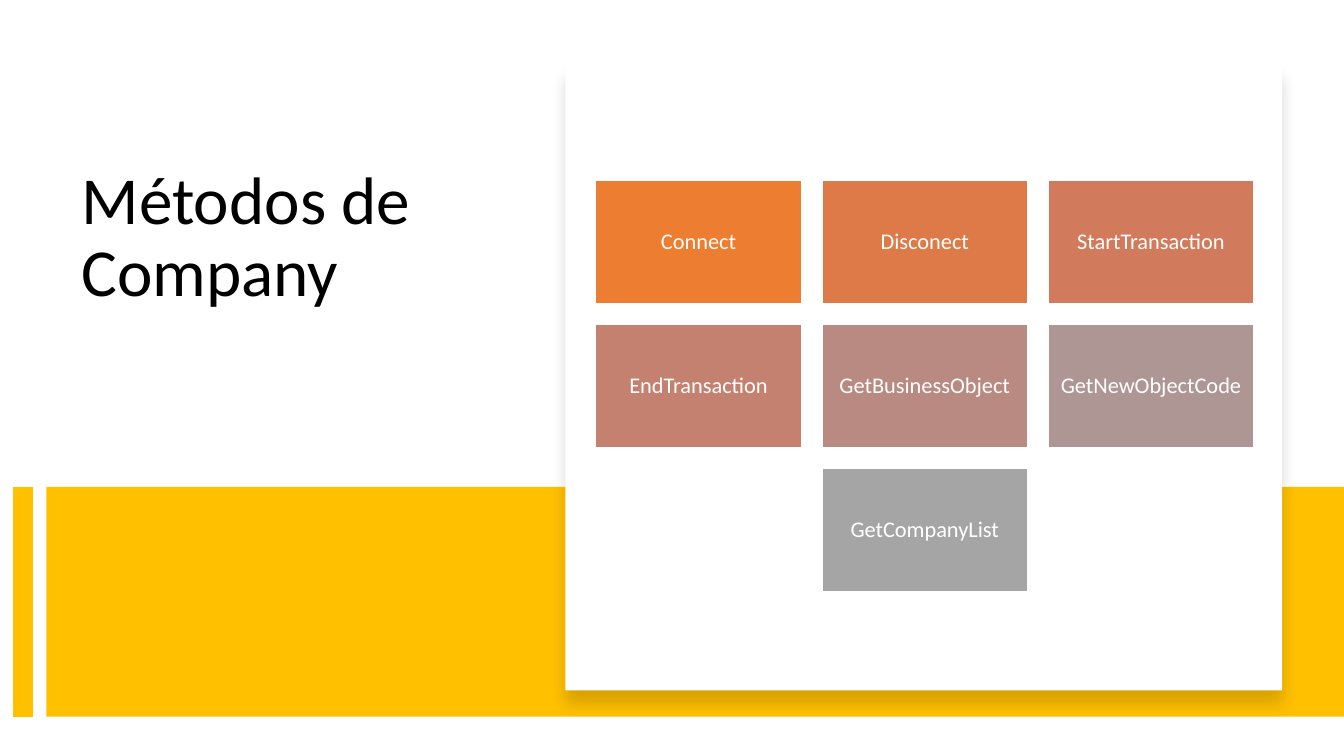
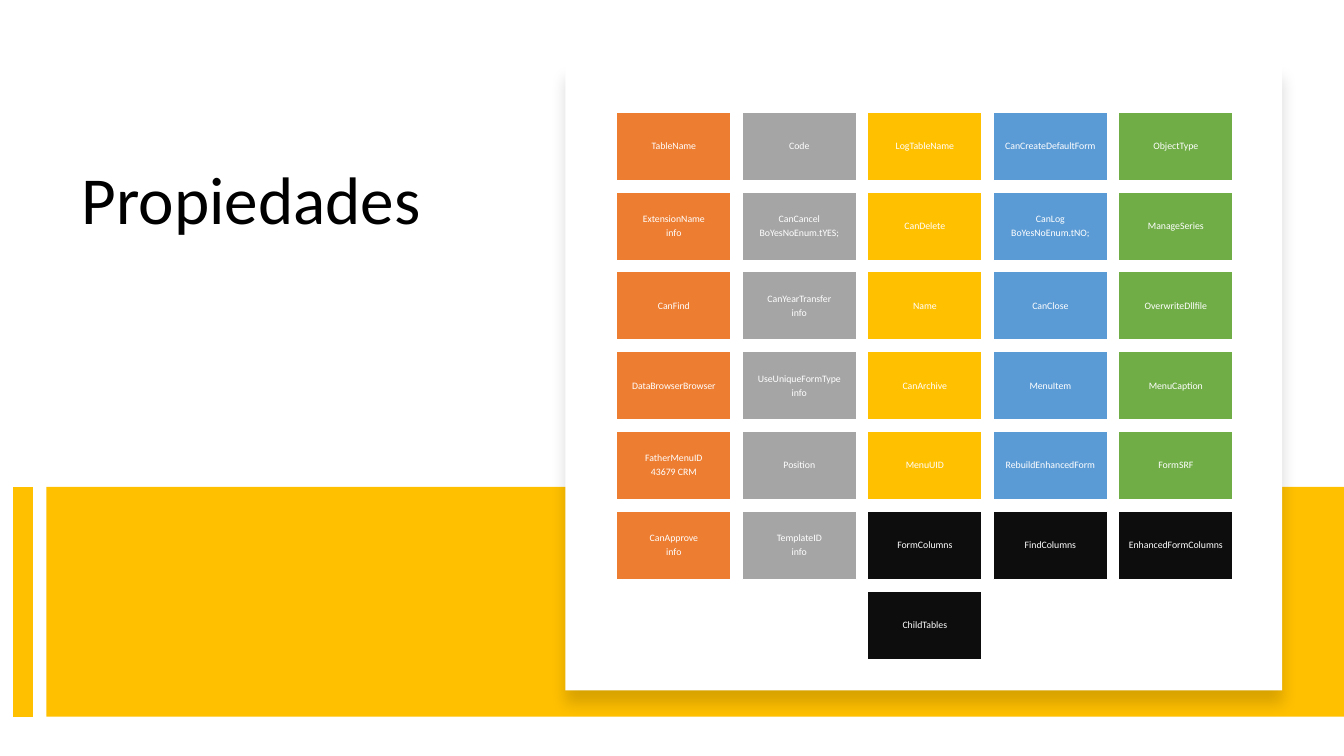
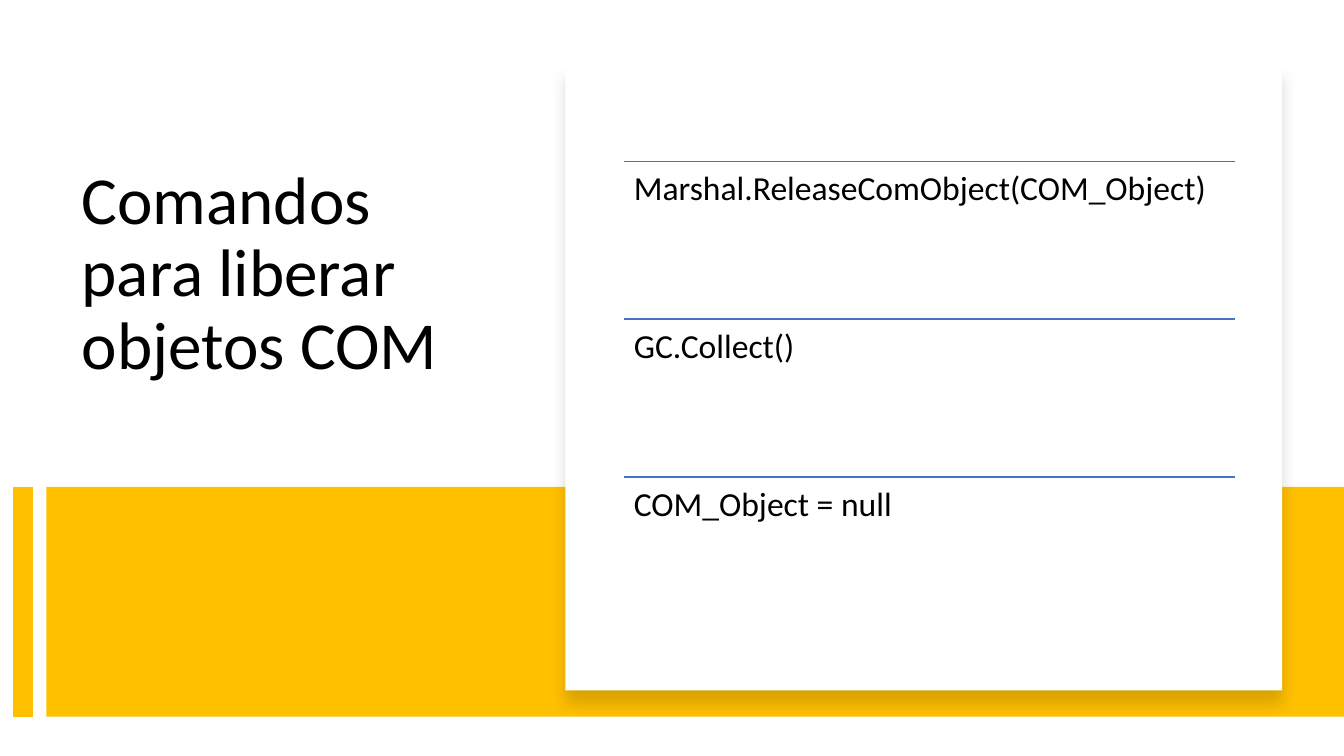
"""Build three slides on business object methods, properties and COM clean-up."""
from lxml import etree
from pptx import Presentation
from pptx.dml.color import RGBColor
from pptx.enum.shapes import MSO_CONNECTOR, MSO_SHAPE
from pptx.enum.text import MSO_ANCHOR, MSO_AUTO_SIZE, PP_ALIGN
from pptx.oxml import parse_xml
from pptx.oxml.ns import nsdecls, qn
from pptx.util import Pt

FONT = "Calibri"
BLACK = RGBColor(0x00, 0x00, 0x00)
WHITE = RGBColor(0xFF, 0xFF, 0xFF)
INK = RGBColor(0x0D, 0x0D, 0x0D)
ORANGE = RGBColor(0xED, 0x7D, 0x31)
GRAY = RGBColor(0xA5, 0xA5, 0xA5)
GOLD = RGBColor(0xFF, 0xC0, 0x00)
SKY = RGBColor(0x5B, 0x9B, 0xD5)
GREEN = RGBColor(0x70, 0xAD, 0x47)
BLUE = RGBColor(0x44, 0x72, 0xC4)
ORANGE_TO_GRAY = [
    ORANGE,
    RGBColor(0xDE, 0x7A, 0x47),
    RGBColor(0xD1, 0x7B, 0x5C),
    RGBColor(0xC4, 0x81, 0x70),
    RGBColor(0xB9, 0x8A, 0x82),
    RGBColor(0xAE, 0x96, 0x94),
    GRAY,
]
COLUMN_COLORS = [ORANGE, GRAY, GOLD, SKY, GREEN]

METHODS = [
    "Connect", "Disconect", "StartTransaction",
    "EndTransaction", "GetBusinessObject", "GetNewObjectCode",
    "GetCompanyList",
]
PROPERTIES = [
    "TableName", "Code", "LogTableName", "CanCreateDefaultForm", "ObjectType",
    "ExtensionName\ninfo", "CanCancel\nBoYesNoEnum.tYES;", "CanDelete",
    "CanLog\nBoYesNoEnum.tNO;", "ManageSeries",
    "CanFind", "CanYearTransfer\ninfo", "Name", "CanClose", "OverwriteDllfile",
    "DataBrowserBrowser", "UseUniqueFormType\ninfo", "CanArchive", "MenuItem", "MenuCaption",
    "FatherMenuID\n43679 CRM", "Position", "MenuUID", "RebuildEnhancedForm", "FormSRF",
    "CanApprove\ninfo", "TemplateID\ninfo",
]
COLLECTIONS = ["FormColumns", "FindColumns", "EnhancedFormColumns", "ChildTables"]
COMMANDS = ["Marshal.ReleaseComObject(COM_Object)", "GC.Collect()", "COM_Object = null"]

BAND_TOP, BAND_HEIGHT = 347.8, 164.1
GRID_CENTER_X, GRID_CENTER_Y = 660.6, 275.6
LIST_LEFT, LIST_TOP, LIST_WIDTH, LIST_STEP = 445.7, 115.2, 436.3, 112.8


def write(tf, text, size, color, align=PP_ALIGN.LEFT, after=0.35):
    tf.word_wrap = True
    tf.auto_size = MSO_AUTO_SIZE.NONE
    for i, line in enumerate(text.split("\n")):
        p = tf.paragraphs[0] if i == 0 else tf.add_paragraph()
        p.alignment = align
        p.line_spacing = 0.9
        p.space_before = Pt(0)
        p.space_after = Pt(size * after)
        r = p.add_run()
        r.text = line
        r.font.name, r.font.size, r.font.color.rgb = FONT, Pt(size), color


def set_insets(tf, inset):
    tf.margin_left = tf.margin_right = tf.margin_top = tf.margin_bottom = Pt(inset)


def add_rect(s, x, y, w, h, fill, outline=None):
    sp = s.shapes.add_shape(MSO_SHAPE.RECTANGLE, Pt(x), Pt(y), Pt(w), Pt(h))
    sp.shadow.inherit = False
    sp.fill.solid()
    sp.fill.fore_color.rgb = fill
    if outline is None:
        sp.line.fill.background()
    else:
        sp.line.color.rgb = outline
        sp.line.width = Pt(1)
    return sp


def add_line(s, x1, y1, x2, y2, color, width):
    cn = s.shapes.add_connector(MSO_CONNECTOR.STRAIGHT, Pt(x1), Pt(y1), Pt(x2), Pt(y2))
    cn.line.color.rgb = color
    cn.line.width = Pt(width)
    etree.SubElement(cn._element.spPr, qn("a:effectLst"))


def add_card(s):
    sp = add_rect(s, 403.9, 46.1, 511.9, 447.1, WHITE)
    effects = sp._element.spPr.find(qn("a:effectLst"))
    effects.append(parse_xml(
        f'<a:outerShdw {nsdecls("a")} blurRad="{Pt(11)}" dist="{Pt(10)}" dir="5400000" '
        'algn="t" rotWithShape="0"><a:srgbClr val="000000"><a:alpha val="15000"/>'
        '</a:srgbClr></a:outerShdw>'))


def add_base_slide(prs, title):
    s = prs.slides.add_slide(prs.slide_layouts[5])
    sp = s.shapes.title
    sp.left, sp.top, sp.width, sp.height = Pt(51.1), Pt(115.2), Pt(298.8), Pt(211.7)
    sp.text_frame.vertical_anchor = MSO_ANCHOR.TOP
    write(sp.text_frame, title, 48, BLACK, after=0)
    add_rect(s, 33.1, BAND_TOP, 926.9, BAND_HEIGHT, GOLD)
    add_line(s, 16.6, BAND_TOP, 16.6, BAND_TOP + BAND_HEIGHT, GOLD, 14)
    add_card(s)
    return s


def add_tiles(s, labels, colors, columns, width, size, inset):
    height, gap = width * 0.6, width * 0.1
    rows = [labels[i:i + columns] for i in range(0, len(labels), columns)]
    fills = iter(colors)
    top = GRID_CENTER_Y - (len(rows) * (height + gap) - gap) / 2
    for i, row in enumerate(rows):
        left = GRID_CENTER_X - (len(row) * (width + gap) - gap) / 2
        for j, label in enumerate(row):
            sp = add_rect(s, left + j * (width + gap), top + i * (height + gap),
                          width, height, next(fills), WHITE)
            set_insets(sp.text_frame, inset)
            sp.text_frame.vertical_anchor = MSO_ANCHOR.MIDDLE
            write(sp.text_frame, label, size, WHITE, PP_ALIGN.CENTER)


def add_ruled_list(s, items):
    for i, item in enumerate(items):
        y = LIST_TOP + i * LIST_STEP
        add_line(s, LIST_LEFT, y, LIST_LEFT + LIST_WIDTH, y, BLUE, 1)
        tb = s.shapes.add_textbox(Pt(LIST_LEFT), Pt(y), Pt(LIST_WIDTH), Pt(LIST_STEP))
        set_insets(tb.text_frame, 7.2)
        write(tb.text_frame, item, 24, BLACK)


def main():
    prs = Presentation()
    prs.slide_width, prs.slide_height = Pt(960), Pt(540)

    s = add_base_slide(prs, "Métodos de Company")
    add_tiles(s, METHODS, ORANGE_TO_GRAY, columns=3, width=146.9, size=16, inset=5)

    s = add_base_slide(prs, "Propiedades")
    colors = [COLUMN_COLORS[i % 5] for i in range(len(PROPERTIES))] + [INK] * len(COLLECTIONS)
    add_tiles(s, PROPERTIES + COLLECTIONS, colors, columns=5, width=81.5, size=7, inset=2.2)

    s = add_base_slide(prs, "Comandos para liberar objetos COM")
    add_ruled_list(s, COMMANDS)

    prs.save("out.pptx")


if __name__ == "__main__":
    main()
